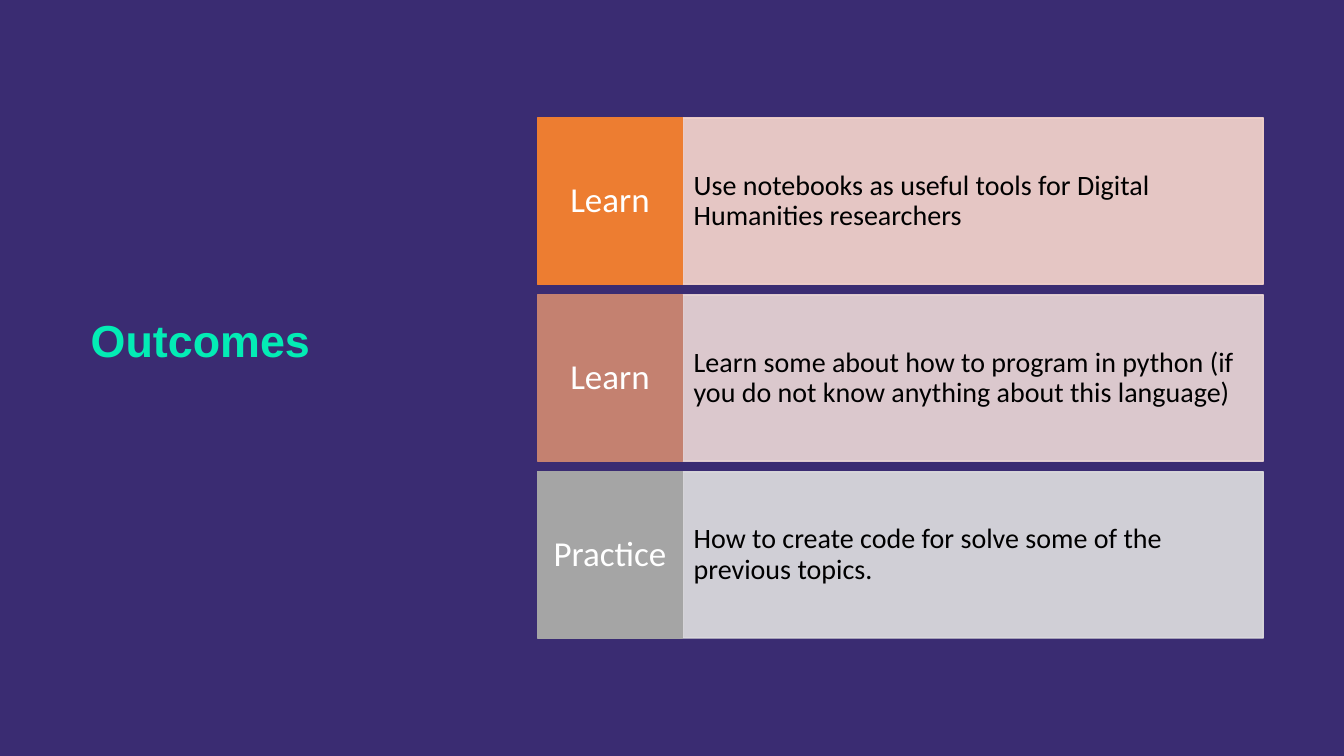
"""Build the Outcomes slide: a title beside three labelled rows."""
from lxml.etree import SubElement
from pptx import Presentation
from pptx.dml.color import RGBColor
from pptx.enum.shapes import MSO_SHAPE
from pptx.enum.text import MSO_ANCHOR, PP_ALIGN
from pptx.oxml.ns import qn
from pptx.util import Inches, Pt

TITLE = "Outcomes"
OUTCOMES = [
    ("Learn", "Use notebooks as useful tools for Digital Humanities researchers",
     "ED7D31", "F8D7CE"),
    ("Learn", "Learn some about how to program in python (if you do not know "
     "anything about this language)", "C48170", "EDD9D7"),
    ("Practice", "How to create code for solve some of the previous topics.",
     "A5A5A5", "E1E1E1"),
]
THEME = {
    "background": "3A2C72",
    "title": {"name": "Arial", "size": 32, "bold": True, "color": "03ECB5"},
    "label": {"name": "Calibri", "size": 25, "bold": False, "color": "FFFFFF"},
    "detail": {"name": "Calibri", "size": 20, "bold": False, "color": "000000"},
    "detail_alpha": 90,
}
LEFT, TOP, LABEL_W, DETAIL_W, ROW_H, PITCH = 5.33, 1.17, 1.44, 5.76, 1.65, 1.755


def write(tf, text, style, align, margins):
    """Fill a text frame with one styled paragraph."""
    mx, my = (Inches(m) for m in margins)
    frame = {"word_wrap": True, "vertical_anchor": MSO_ANCHOR.MIDDLE,
             "margin_left": mx, "margin_right": mx,
             "margin_top": my, "margin_bottom": my}
    for name, value in frame.items():
        setattr(tf, name, value)
    p = tf.paragraphs[0]
    p.alignment, p.line_spacing = align, 0.9
    r = p.add_run()
    r.text = text
    font = {"name": style["name"], "size": Pt(style["size"]), "bold": style["bold"]}
    for name, value in font.items():
        setattr(r.font, name, value)
    r.font.color.rgb = RGBColor.from_string(style["color"])


def add_box(s, x, y, w, color, alpha=100):
    """Add a flat rectangle and return its text frame."""
    sp = s.shapes.add_shape(MSO_SHAPE.RECTANGLE, Inches(x), Inches(y),
                            Inches(w), Inches(ROW_H))
    sp.shadow.inherit = False
    sp.line.width = Pt(1)
    sp.fill.solid()
    for fmt in (sp.fill.fore_color, sp.line.color):
        fmt.rgb = RGBColor.from_string(color)
    if alpha < 100:
        for clr in sp.element.spPr.iter(qn("a:srgbClr")):
            SubElement(clr, qn("a:alpha"), val=str(alpha * 1000))
    return sp.text_frame


def main():
    """Lay out the slide and save it."""
    prs = Presentation()
    prs.slide_width, prs.slide_height = Inches(13.33), Inches(7.5)
    s = prs.slides.add_slide(prs.slide_layouts[5])
    s.background.fill.solid()
    s.background.fill.fore_color.rgb = RGBColor.from_string(THEME["background"])

    title = s.shapes.title
    place = {"left": 0.8, "top": 0.99, "width": 4, "height": 4.82}
    for name, value in place.items():
        setattr(title, name, Inches(value))
    write(title.text_frame, TITLE, THEME["title"], PP_ALIGN.LEFT, (0.1, 0.05))

    for i, (label, detail, label_fill, detail_fill) in enumerate(OUTCOMES):
        y = TOP + i * PITCH
        tf = add_box(s, LEFT + LABEL_W, y, DETAIL_W, detail_fill, THEME["detail_alpha"])
        write(tf, detail, THEME["detail"], PP_ALIGN.LEFT, (0.11, 0.42))
        tf = add_box(s, LEFT, y, LABEL_W, label_fill)
        write(tf, label, THEME["label"], PP_ALIGN.CENTER, (0.08, 0.16))

    prs.save("out.pptx")


if __name__ == "__main__":
    main()
